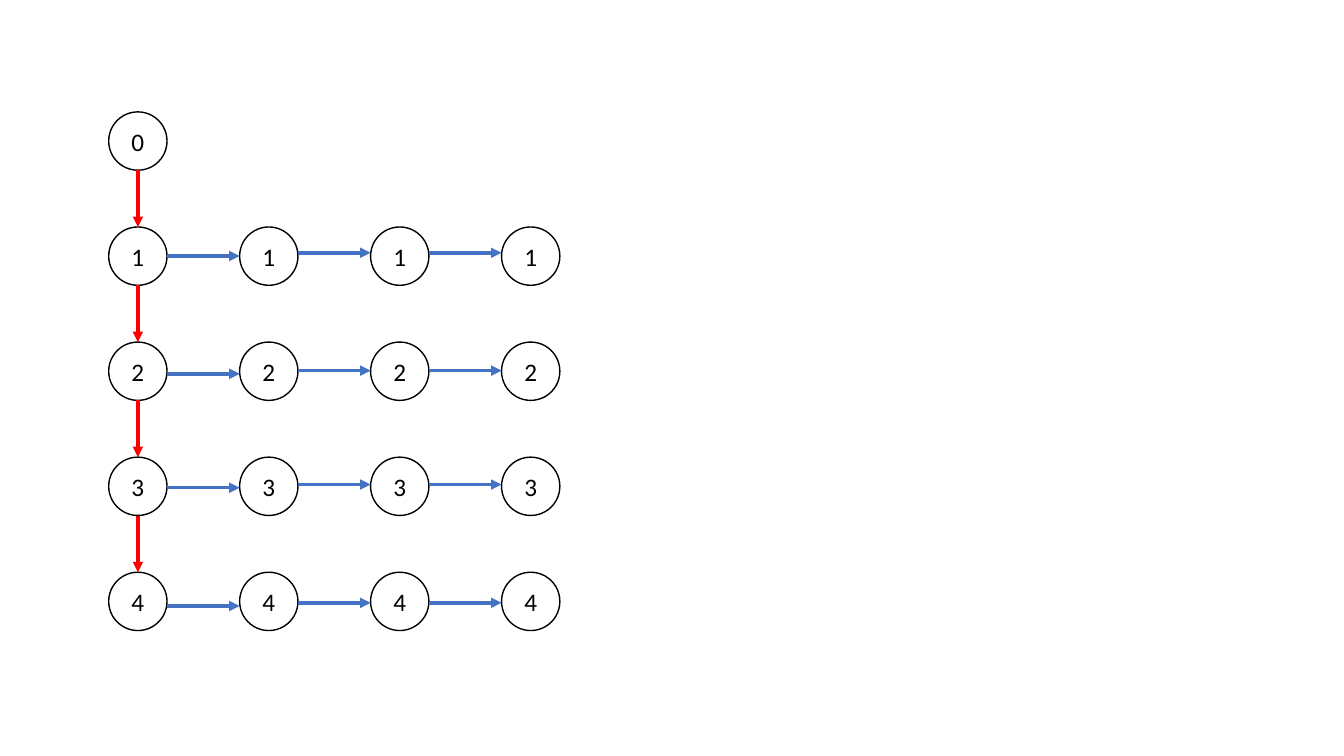
from lxml import etree
from pptx import Presentation
from pptx.dml.color import RGBColor
from pptx.enum import shapes, text
from pptx.oxml.ns import qn
from pptx.util import Cm, Pt

BLACK = RGBColor(0x00, 0x00, 0x00)
RED = RGBColor(0xFF, 0x00, 0x00)
BLUE = RGBColor(0x44, 0x72, 0xC4)

# Node grid, in cm
LEFT, TOP = 2.74, 2.82
COL_STEP, ROW_STEP = 3.3, 2.9
SIZE = 1.47
COLS, ROWS = 4, 5

# Height of the first blue arrow in rows 1 to 4; later ones sit a little higher
BLUE_Y = [6.45, 9.42, 12.29, 15.27]
LATER_RISE = 0.08

prs = Presentation()
prs.slide_width, prs.slide_height = Cm(33.87), Cm(19.05)
s = prs.slides.add_slide(prs.slide_layouts[6])


def add_node(x, y, label):
    sp = s.shapes.add_shape(shapes.MSO_SHAPE.OVAL, Cm(x), Cm(y), Cm(SIZE), Cm(SIZE))
    sp.shadow.inherit = False
    sp.fill.background()
    sp.line.color.rgb = BLACK
    sp.line.width = Pt(1)
    tf = sp.text_frame
    tf.margin_left = tf.margin_right = tf.margin_top = tf.margin_bottom = 0
    tf.vertical_anchor = text.MSO_ANCHOR.MIDDLE
    p = tf.paragraphs[0]
    p.text = label
    p.alignment = text.PP_ALIGN.CENTER
    p.font.name = "Calibri"
    p.font.size = Pt(18)
    p.font.color.rgb = BLACK


def add_arrow(x1, y1, x2, y2, color):
    cn = s.shapes.add_connector(shapes.MSO_CONNECTOR.STRAIGHT, Cm(x1), Cm(y1), Cm(x2), Cm(y2))
    cn.line.color.rgb = color
    cn.line.width = Pt(2.5)
    etree.SubElement(cn.line._get_or_add_ln(), qn("a:tailEnd"), type="triangle")
    etree.SubElement(cn._element.spPr, qn("a:effectLst"))


# Nodes: row 0 has only its head, the other rows are full
for row in range(ROWS):
    for col in range(COLS if row else 1):
        add_node(LEFT + col * COL_STEP, TOP + row * ROW_STEP, str(row))

# Red arrows down the first column
x = LEFT + SIZE / 2
for row in range(ROWS - 1):
    y = TOP + row * ROW_STEP
    add_arrow(x, y + SIZE, x, y + ROW_STEP, RED)

# Blue arrows along each row
for first_y in BLUE_Y:
    for col in range(COLS - 1):
        x = LEFT + col * COL_STEP
        y = first_y - (LATER_RISE if col else 0)
        add_arrow(x + SIZE, y, x + COL_STEP, y, BLUE)

prs.save("out.pptx")
